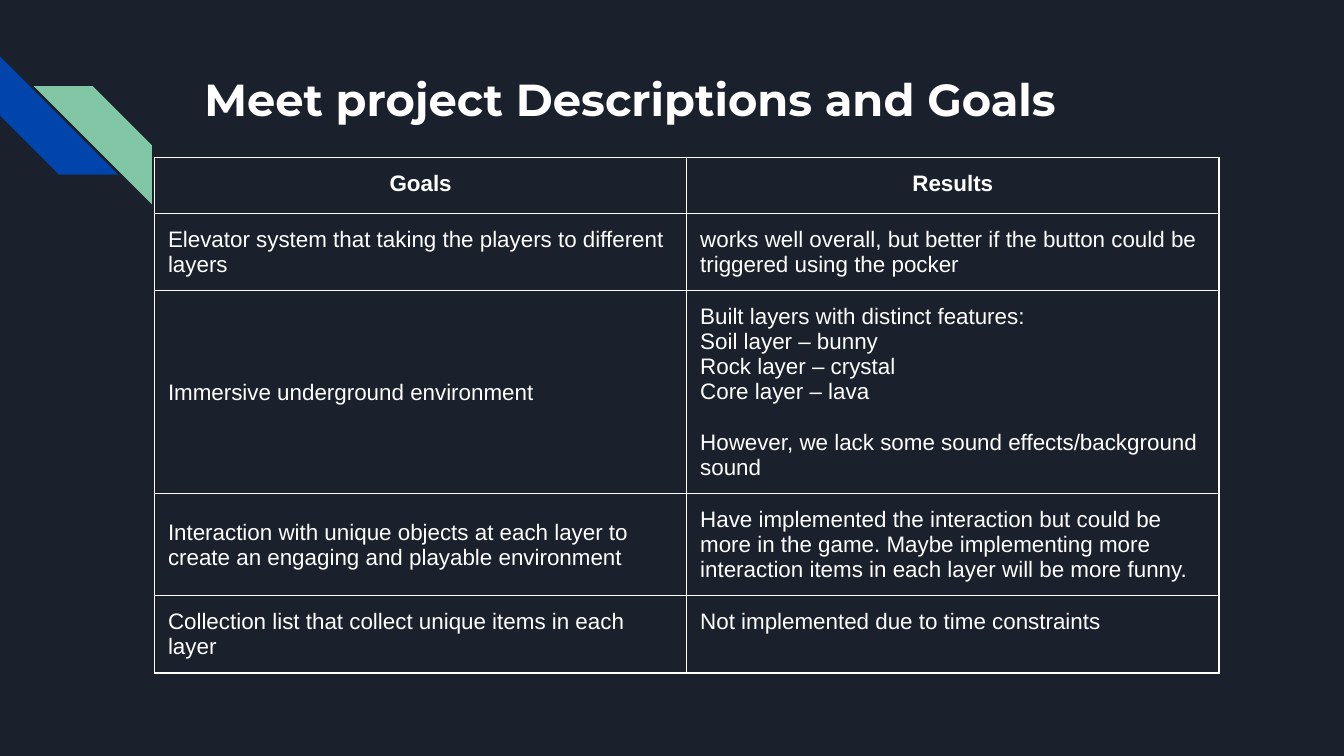
from dataclasses import dataclass

import lxml.etree
import pptx
import pptx.dml.color
import pptx.enum.shapes
import pptx.enum.text
import pptx.oxml.ns
import pptx.util

Inches = pptx.util.Inches
Pt = pptx.util.Pt
Align = pptx.enum.text.PP_ALIGN
Anchor = pptx.enum.text.MSO_ANCHOR

SLIDE_WIDTH = 10
SLIDE_HEIGHT = SLIDE_WIDTH * 9 / 16
WHITE = "FFFFFF"
BACKGROUND = "1B212C"
PADDING = Inches(0.1)
BLANK_LINE = Pt(13.5)


@dataclass
class Stripe:
    left: float
    top: float
    rotation: int
    fill: str


@dataclass
class GoalRow:
    height: float
    goal: str
    results: list[str]
    goal_anchor: Anchor = Anchor.TOP
    header: bool = False
    gap_before_last: bool = False


STRIPES = [
    Stripe(0, 0.42, 270, "0145AC"),
    Stripe(0.25, 0.64, 90, "82C7A5"),
]

ROWS = [
    GoalRow(0.42, "Goals", ["Results"], header=True),
    GoalRow(0.57, "Elevator system that taking the players to different layers",
            ["works well overall, but better if the button could be triggered using the pocker"]),
    GoalRow(1.51, "Immersive underground environment",
            ["Built layers with distinct features:",
             "Soil layer – bunny",
             "Rock layer – crystal",
             "Core layer – lava",
             "However, we lack some sound effects/background sound"],
            goal_anchor=Anchor.MIDDLE, gap_before_last=True),
    GoalRow(0.76, "Interaction with unique objects at each layer to create an engaging "
            "and playable environment",
            ["Have implemented the interaction but could be more in the game. Maybe "
             "implementing more interaction items in each layer will be more funny."],
            goal_anchor=Anchor.MIDDLE),
    GoalRow(0.57, "Collection list that collect unique items in each layer",
            ["Not implemented due to time constraints"]),
]


def color(value: str) -> pptx.dml.color.RGBColor:
    return pptx.dml.color.RGBColor.from_string(value)


def add_run(paragraph, text: str, font: str, size: float, bold: bool) -> None:
    run = paragraph.add_run()
    run.text = text
    run.font.name = font
    run.font.size = Pt(size)
    run.font.bold = bold
    run.font.color.rgb = color(WHITE)


def set_padding(box) -> None:
    box.margin_left = box.margin_right = PADDING
    box.margin_top = box.margin_bottom = PADDING


def add_stripe(slide, stripe: Stripe) -> None:
    shape = slide.shapes.add_shape(
        pptx.enum.shapes.MSO_SHAPE.DIAGONAL_STRIPE,
        Inches(stripe.left), Inches(stripe.top), Inches(0.88), Inches(0.88))
    shape.adjustments[0] = 0.5
    shape.rotation = stripe.rotation
    shape.shadow.inherit = False
    shape.fill.solid()
    shape.fill.fore_color.rgb = color(stripe.fill)
    shape.line.fill.background()


def set_borders(cell) -> None:
    qn = pptx.oxml.ns.qn
    properties = cell._tc.get_or_add_tcPr()
    for side in ("lnL", "lnR", "lnT", "lnB"):
        line = lxml.etree.SubElement(properties, qn(f"a:{side}"), w=str(Pt(0.75)))
        fill = lxml.etree.SubElement(line, qn("a:solidFill"))
        lxml.etree.SubElement(fill, qn("a:srgbClr"), val=WHITE)


def fill_cell(cell, lines: list[str], row: GoalRow, anchor: Anchor) -> None:
    set_borders(cell)
    cell.fill.background()
    set_padding(cell)
    cell.vertical_anchor = anchor
    frame = cell.text_frame
    for index, text in enumerate(lines):
        paragraph = frame.add_paragraph() if index else frame.paragraphs[0]
        paragraph.alignment = Align.CENTER if row.header else Align.LEFT
        add_run(paragraph, text, "Arial", 12, row.header)
    if row.gap_before_last and len(lines) > 1:
        frame.paragraphs[-1].space_before = BLANK_LINE


def add_goal_table(slide, rows: list[GoalRow]) -> None:
    height = sum(row.height for row in rows)
    table = slide.shapes.add_table(
        len(rows), 2, Inches(1.15), Inches(1.17), Inches(7.92), Inches(height)).table
    table.first_row = table.horz_banding = False
    for index, row in enumerate(rows):
        table.rows[index].height = Inches(row.height)
        fill_cell(table.cell(index, 0), [row.goal], row, row.goal_anchor)
        fill_cell(table.cell(index, 1), row.results, row, Anchor.TOP)


def set_title(slide, text: str) -> None:
    title = slide.shapes.title
    title.left, title.top = Inches(1.42), Inches(0.43)
    title.width, title.height = Inches(7.7), Inches(1)
    frame = title.text_frame
    frame.word_wrap = True
    frame.auto_size = pptx.enum.text.MSO_AUTO_SIZE.NONE
    frame.vertical_anchor = Anchor.TOP
    set_padding(frame)
    paragraph = frame.paragraphs[0]
    paragraph.alignment = Align.LEFT
    add_run(paragraph, text, "Montserrat", 24, True)


def main() -> None:
    presentation = pptx.Presentation()
    presentation.slide_width = Inches(SLIDE_WIDTH)
    presentation.slide_height = Inches(SLIDE_HEIGHT)

    # Title Only layout on a dark background
    slide = presentation.slides.add_slide(presentation.slide_layouts[5])
    slide.background.fill.solid()
    slide.background.fill.fore_color.rgb = color(BACKGROUND)

    # Corner decoration
    for stripe in STRIPES:
        add_stripe(slide, stripe)

    # Title and table
    set_title(slide, "Meet project Descriptions and Goals")
    add_goal_table(slide, ROWS)

    presentation.save("out.pptx")


if __name__ == "__main__":
    main()
